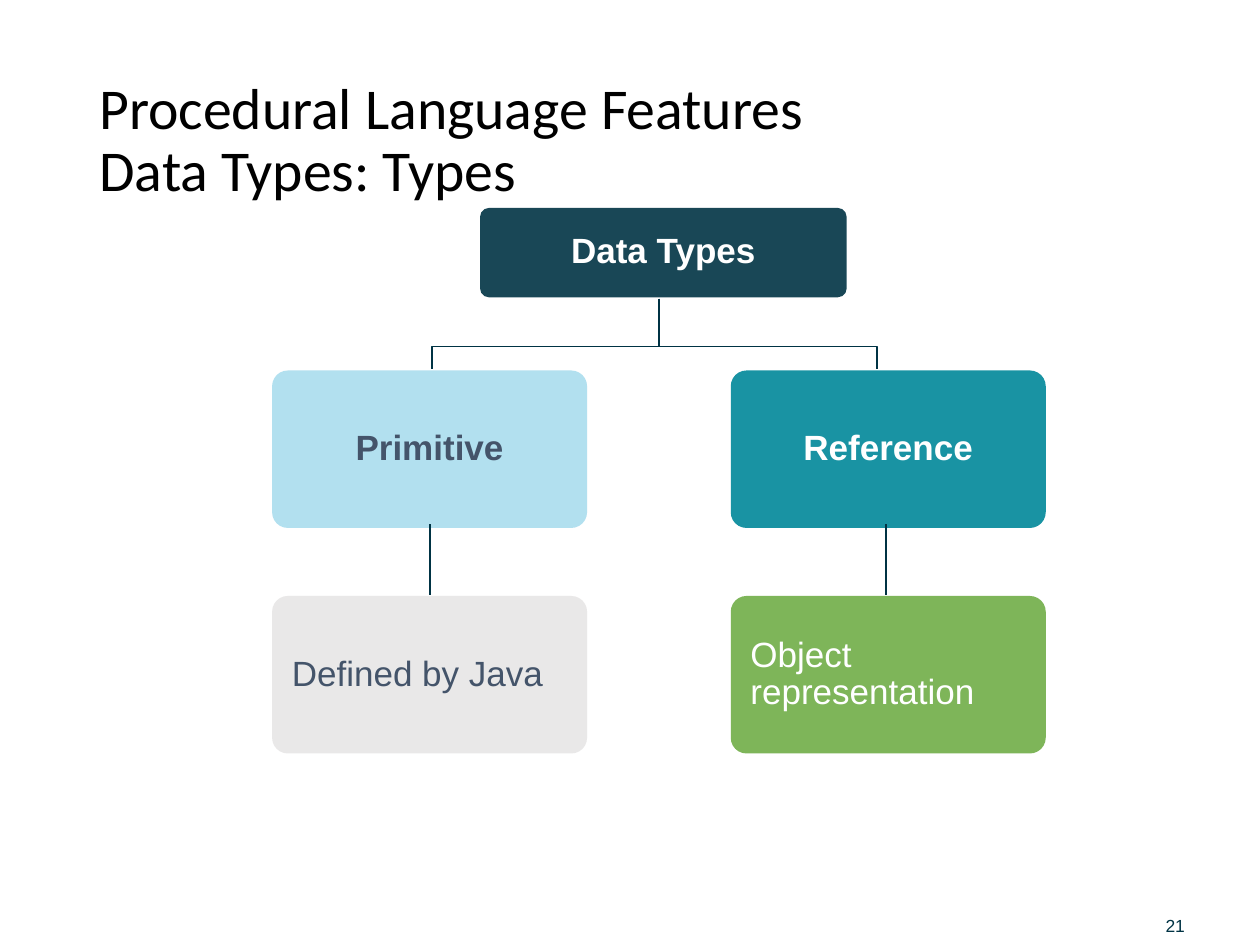
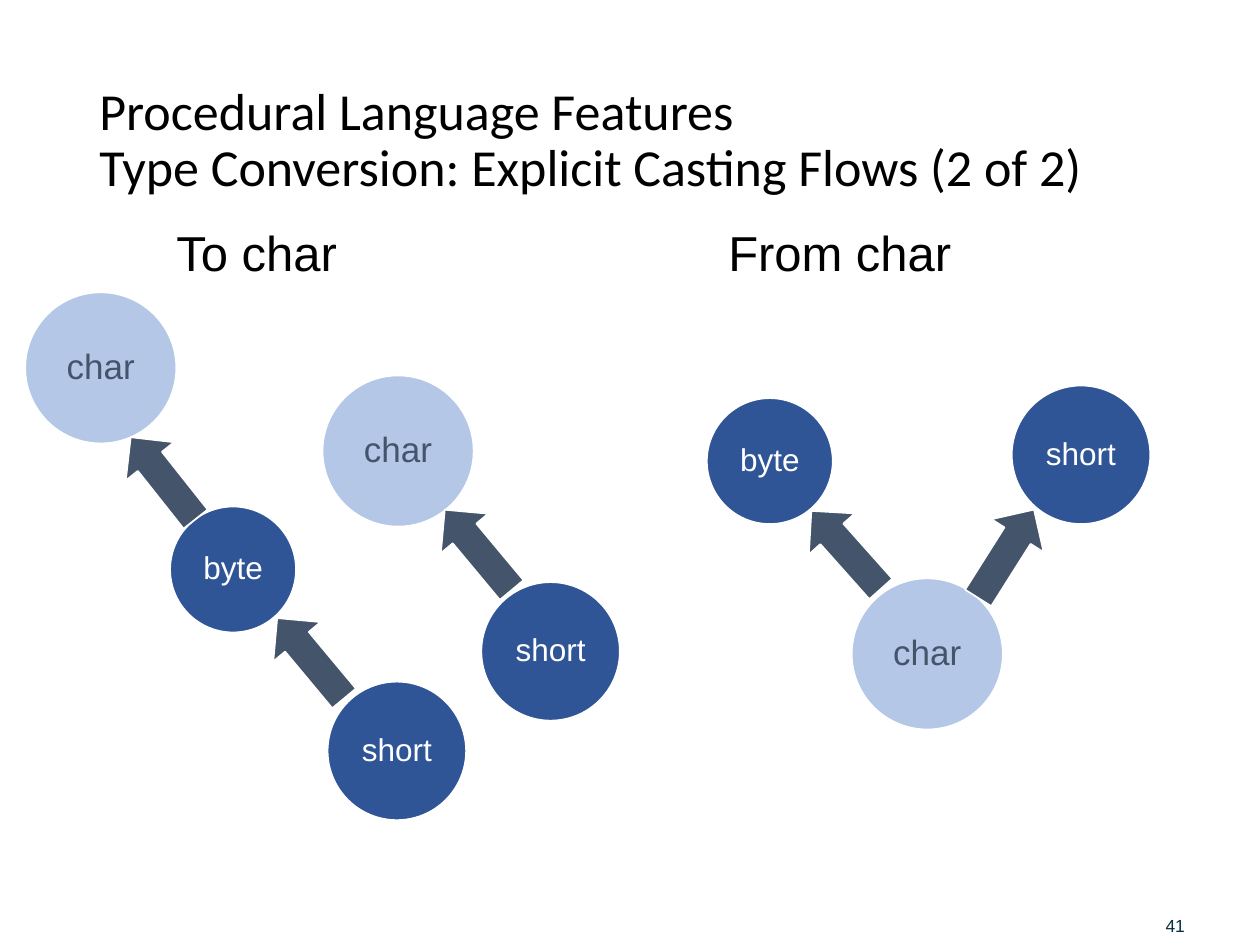
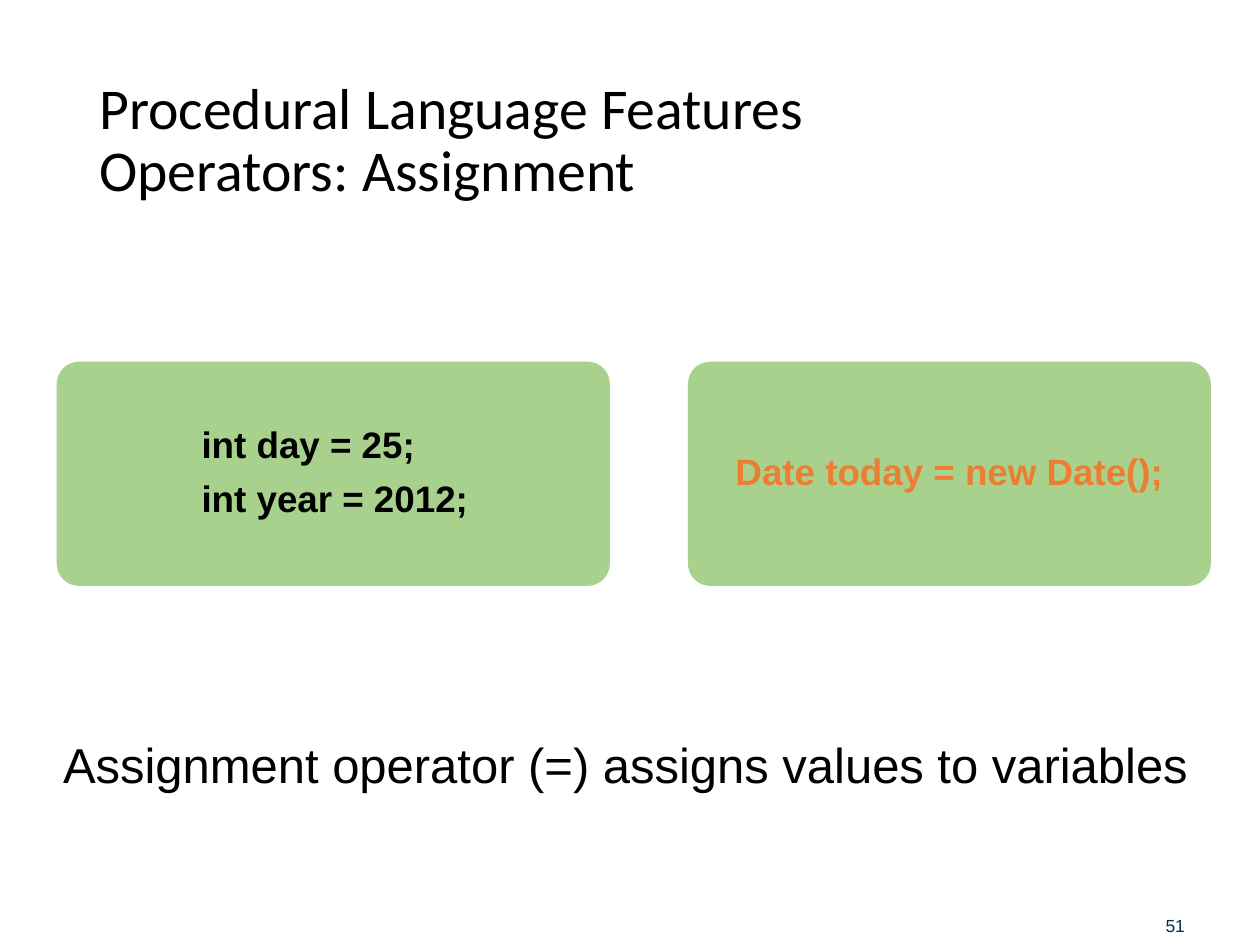
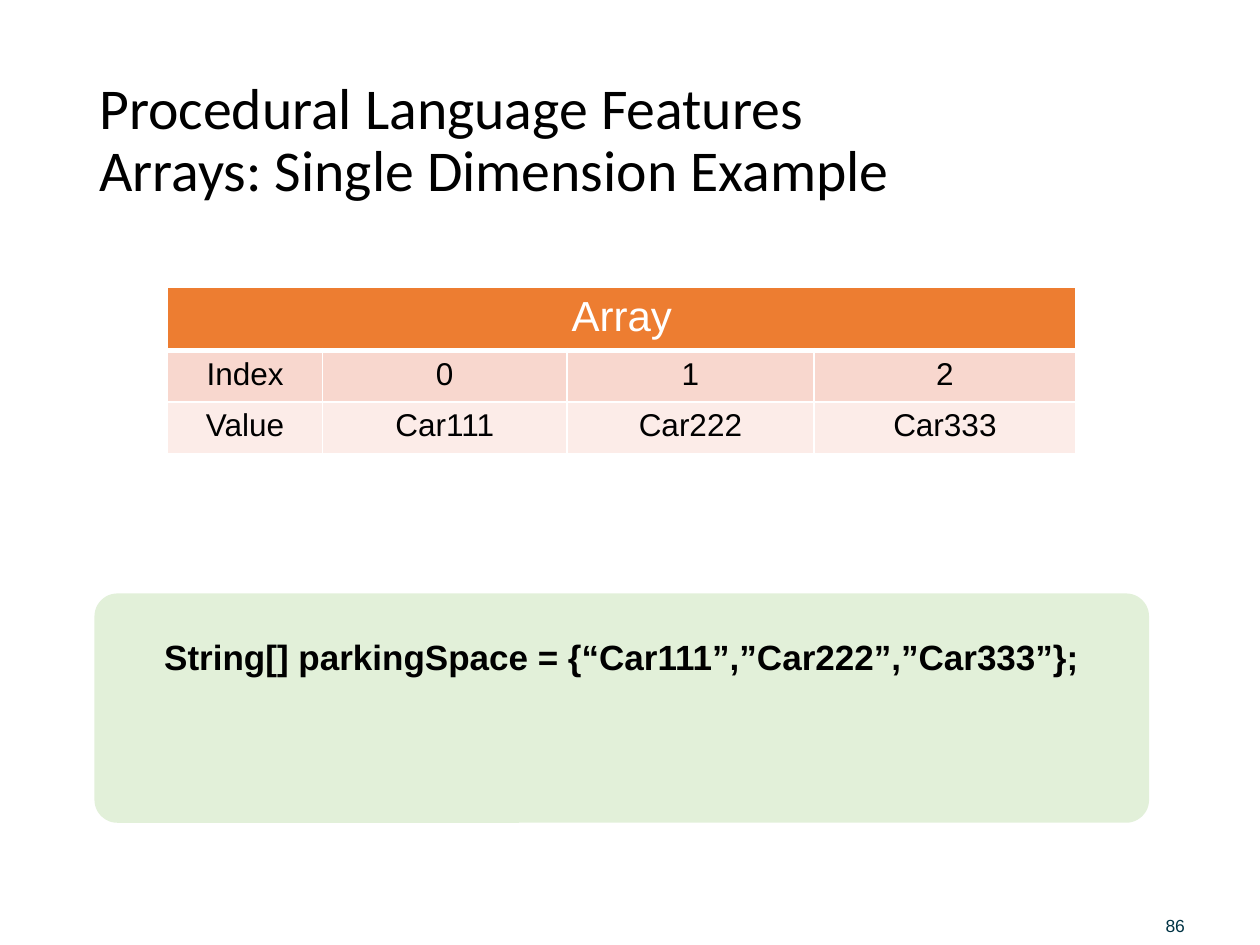
from lxml.etree import SubElement
from pptx import Presentation
from pptx.dml.color import RGBColor
from pptx.enum.shapes import MSO_CONNECTOR, MSO_SHAPE
from pptx.enum.text import MSO_ANCHOR, PP_ALIGN
from pptx.oxml import parse_xml
from pptx.oxml.ns import nsdecls, qn
from pptx.util import Emu, Pt

PX = 9144
COLORS = {
    "black": "000000", "white": "FFFFFF", "navy": "003344", "slate": "44546A",
    "sky": "AADDEE", "teal": "008899", "grey": "E7E6E6", "green": "70AD47",
    "blue": "2F5597", "pale_blue": "B4C7E7", "leaf": "A9D18E", "mint": "E2F0D9",
    "orange": "ED7D31", "peach": "F8D7CE", "blush": "FCECE8",
}
HEADING = "Procedural Language Features"
TITLE_BOX = (69, 40, 862, 145)
NUMBER_BOX = (925, 715, 69, 28)

TREE_SIZE = (250, 125)
TREE_COLUMNS, TREE_ROWS = (216, 580), (294, 473)
TREE_ROOT = ("Data Types", (381, 165, 291, 71))
TREE_NODES = [
    [("Primitive", "sky", "slate"), ("Reference", "teal", "white")],
    [("Defined by Java", "grey", "slate"), ("Object representation", "green", "white")],
]
ROOT_STEM, BRANCH_Y, BRANCH_END = (523, 237), 275, 293
BRANCH_XS = (343, 696)
LINK_XS, LINK_TOP, LINK_BOTTOM = (341, 703), 416, 472

CIRCLE_STYLES = {
    "char": (120, "pale_blue", "slate", 20),
    "byte": (100, "blue", "white", 18),
    "short": (110, "blue", "white", 18),
}
CIRCLES = [
    ("short", 260, 541), ("byte", 135, 402), ("char", 20, 232),
    ("short", 803, 306), ("byte", 561, 316), ("char", 676, 459),
    ("short", 382, 462), ("char", 256, 298),
]
ARROW_SIZE = (49, 83)
ARROWS = [
    (105, 338, 321.6), (222, 481, 320.2), (647, 395, 318.3),
    (774, 398, 32.3), (355, 395, 320.2),
]
FLOW_HEADINGS = [("To char", (140, 179, 218, 44)), ("From char", (578, 179, 231, 44))]

ASSIGNMENT_NOTE = ("Assignment operator (=) assigns values to variables", (50, 580, 911, 50))

ARRAY_ROWS = [
    ("Array", "", "", ""),
    ("Index", "0", "1", "2"),
    ("Value", "Car111", "Car222", "Car333"),
]
ARRAY_STYLES = [("orange", "white", 24), ("peach", "black", 18), ("blush", "black", 18)]
ARRAY_ORIGIN, ARRAY_WIDTHS, ARRAY_ROW_HEIGHT = (133, 228), (123, 194, 196, 208), 41
ARRAY_CODE = "String[] parkingSpace = {“Car111”,”Car222”,”Car333”};"


def emu(*lengths):
    return [Emu(length * PX) for length in lengths]


def rgb(name):
    return RGBColor.from_string(COLORS[name])


def write(frame, text, size=20, color="black", font="Arial", bold=False, align=PP_ALIGN.LEFT,
          anchor=MSO_ANCHOR.MIDDLE, insets=(0, 0, 0, 0), spacing=None, after=0):
    frame.word_wrap = True
    frame.vertical_anchor = anchor
    frame.margin_left, frame.margin_top, frame.margin_right, frame.margin_bottom = emu(*insets)
    for index, line in enumerate(text.split("\n")):
        paragraph = frame.add_paragraph() if index else frame.paragraphs[0]
        paragraph.text = line
        paragraph.alignment = align
        paragraph.space_after = Pt(after)
        if spacing:
            paragraph.line_spacing = spacing
        for run in paragraph.runs:
            run.font.size, run.font.name, run.font.bold = Pt(size), font, bold
            run.font.color.rgb = rgb(color)


def add_label(slide, text, box, **text_format):
    write(slide.shapes.add_textbox(*emu(*box)).text_frame, text, **text_format)


def add_filled(shapes, kind, box, color, outline=None, opacity=None, radius=None):
    shape = shapes.add_shape(kind, *emu(*box))
    shape.shadow.inherit = False
    shape.fill.solid()
    shape.fill.fore_color.rgb = rgb(color)
    if opacity:
        fill_color = shape._element.spPr.find(qn("a:solidFill"))[0]
        SubElement(fill_color, qn("a:alpha")).set("val", str(opacity * 1000))
    if outline:
        shape.line.color.rgb = rgb(outline)
        shape.line.width = Pt(1)
    else:
        shape.line.fill.background()
    if radius:
        shape.adjustments[0] = radius
    return shape


def add_slide(presentation, subtitle, number, title_size=33):
    slide = presentation.slides.add_slide(presentation.slide_layouts[6])
    add_label(slide, f"{HEADING}\v{subtitle}", TITLE_BOX, size=title_size, font="Calibri",
              insets=(10, 5, 10, 5), spacing=0.9)
    add_label(slide, str(number), NUMBER_BOX, size=10, color="navy", anchor=MSO_ANCHOR.BOTTOM)
    return slide


def style_line(line):
    line.color.rgb = rgb("navy")
    line.width = Pt(1)


def add_tree_node(slide, text, box, color, text_color, heading):
    node = add_filled(slide.shapes, MSO_SHAPE.ROUNDED_RECTANGLE, box, color,
                      opacity=90, radius=0.1)
    write(node.text_frame, text, color=text_color, bold=heading, insets=(12,) * 4, spacing=0.9,
          align=PP_ALIGN.CENTER if heading else PP_ALIGN.LEFT)


def add_panel(slide, box, margins, fill, text, **text_format):
    left, top, width, height = box
    side, edge = margins
    shapes = slide.shapes.add_group_shape().shapes
    add_filled(shapes, MSO_SHAPE.ROUNDED_RECTANGLE, box, fill, radius=0.1)
    inner_box = (left + side, top + edge, width - 2 * side, height - 2 * edge)
    inner = add_filled(shapes, MSO_SHAPE.RECTANGLE, inner_box, fill)
    write(inner.text_frame, text, bold=True, spacing=0.9, **text_format)


def build_types(presentation):
    slide = add_slide(presentation, "Data Types: Types", 21)
    stem_x, stem_y = ROOT_STEM
    for branch_x in BRANCH_XS:
        builder = slide.shapes.build_freeform(stem_x, stem_y, scale=PX)
        builder.add_line_segments(
            [(stem_x, BRANCH_Y), (branch_x, BRANCH_Y), (branch_x, BRANCH_END)], close=False)
        branch = builder.convert_to_shape()
        branch.shadow.inherit = False
        branch.fill.background()
        style_line(branch.line)
    root_text, root_box = TREE_ROOT
    add_tree_node(slide, root_text, root_box, "navy", "white", True)
    for row, (top, nodes) in enumerate(zip(TREE_ROWS, TREE_NODES)):
        for left, (text, color, text_color) in zip(TREE_COLUMNS, nodes):
            add_tree_node(slide, text, (left, top, *TREE_SIZE), color, text_color, row == 0)
    for link_x in LINK_XS:
        link = slide.shapes.add_connector(
            MSO_CONNECTOR.STRAIGHT, *emu(link_x, LINK_TOP, link_x, LINK_BOTTOM))
        style_line(link.line)
        SubElement(link._element.spPr, qn("a:effectLst"))


def build_casting(presentation):
    slide = add_slide(presentation, "Type Conversion: Explicit Casting Flows (2 of 2)", 41, 29.7)
    for text, left, top in CIRCLES:
        diameter, color, text_color, size = CIRCLE_STYLES[text]
        circle = add_filled(slide.shapes, MSO_SHAPE.OVAL, (left, top, diameter, diameter),
                            color, outline="white")
        write(circle.text_frame, text, size=size, color=text_color, align=PP_ALIGN.CENTER,
              spacing=0.9)
    for left, top, rotation in ARROWS:
        arrow = add_filled(slide.shapes, MSO_SHAPE.DOWN_ARROW, (left, top, *ARROW_SIZE),
                           "slate", outline="white")
        arrow.rotation = rotation
        arrow._element.spPr.xfrm.set("flipV", "1")
    for text, box in FLOW_HEADINGS:
        add_label(slide, text, box, size=28, anchor=MSO_ANCHOR.BOTTOM)


def build_assignment(presentation):
    slide = add_slide(presentation, "Operators: Assignment", 51)
    add_panel(slide, (45, 287, 439, 178), (6, 5), "leaf", "int day = 25;\nint year = 2012;",
              size=21, insets=(109, 9, 9, 9), after=8)
    add_panel(slide, (546, 287, 415, 178), (6, 5), "leaf", "Date today = new Date();",
              size=21, color="orange", align=PP_ALIGN.CENTER, insets=(9,) * 4)
    text, box = ASSIGNMENT_NOTE
    add_label(slide, text, box, size=28, anchor=MSO_ANCHOR.BOTTOM)


def add_borders(cell, bottom_width):
    properties = cell._tc.get_or_add_tcPr()
    widths = {"lnL": 1, "lnR": 1, "lnT": 1, "lnB": bottom_width}
    for index, (tag, width) in enumerate(widths.items()):
        properties.insert(index, parse_xml(
            f'<a:{tag} {nsdecls("a")} w="{Pt(width)}"><a:solidFill>'
            f'<a:srgbClr val="{COLORS["white"]}"/></a:solidFill></a:{tag}>'))


def build_array(presentation):
    slide = add_slide(presentation, "Arrays: Single Dimension Example", 86)
    add_panel(slide, (75, 471, 837, 182), (10, 5), "mint", ARRAY_CODE, align=PP_ALIGN.CENTER,
              anchor=MSO_ANCHOR.TOP, insets=(9, 32, 9, 9))
    row_count, column_count = len(ARRAY_ROWS), len(ARRAY_WIDTHS)
    table = slide.shapes.add_table(
        row_count, column_count,
        *emu(*ARRAY_ORIGIN, sum(ARRAY_WIDTHS), ARRAY_ROW_HEIGHT * row_count)).table
    for column, width in zip(table.columns, ARRAY_WIDTHS):
        column.width = Emu(width * PX)
    table.cell(0, 0).merge(table.cell(0, column_count - 1))
    for row, (texts, style) in enumerate(zip(ARRAY_ROWS, ARRAY_STYLES)):
        fill, text_color, size = style
        for column, text in enumerate(texts):
            cell = table.cell(row, column)
            cell.fill.solid()
            cell.fill.fore_color.rgb = rgb(fill)
            add_borders(cell, 1 if row else 3)
            write(cell.text_frame, text, size=size, color=text_color, align=PP_ALIGN.CENTER)
            cell.vertical_anchor = MSO_ANCHOR.TOP
            cell.margin_left, cell.margin_top, cell.margin_right, cell.margin_bottom = emu(
                10, 5, 10, 5)


def main():
    presentation = Presentation()
    presentation.slide_width, presentation.slide_height = emu(1000, 750)
    for build in (build_types, build_casting, build_assignment, build_array):
        build(presentation)
    presentation.save("out.pptx")


if __name__ == "__main__":
    main()
